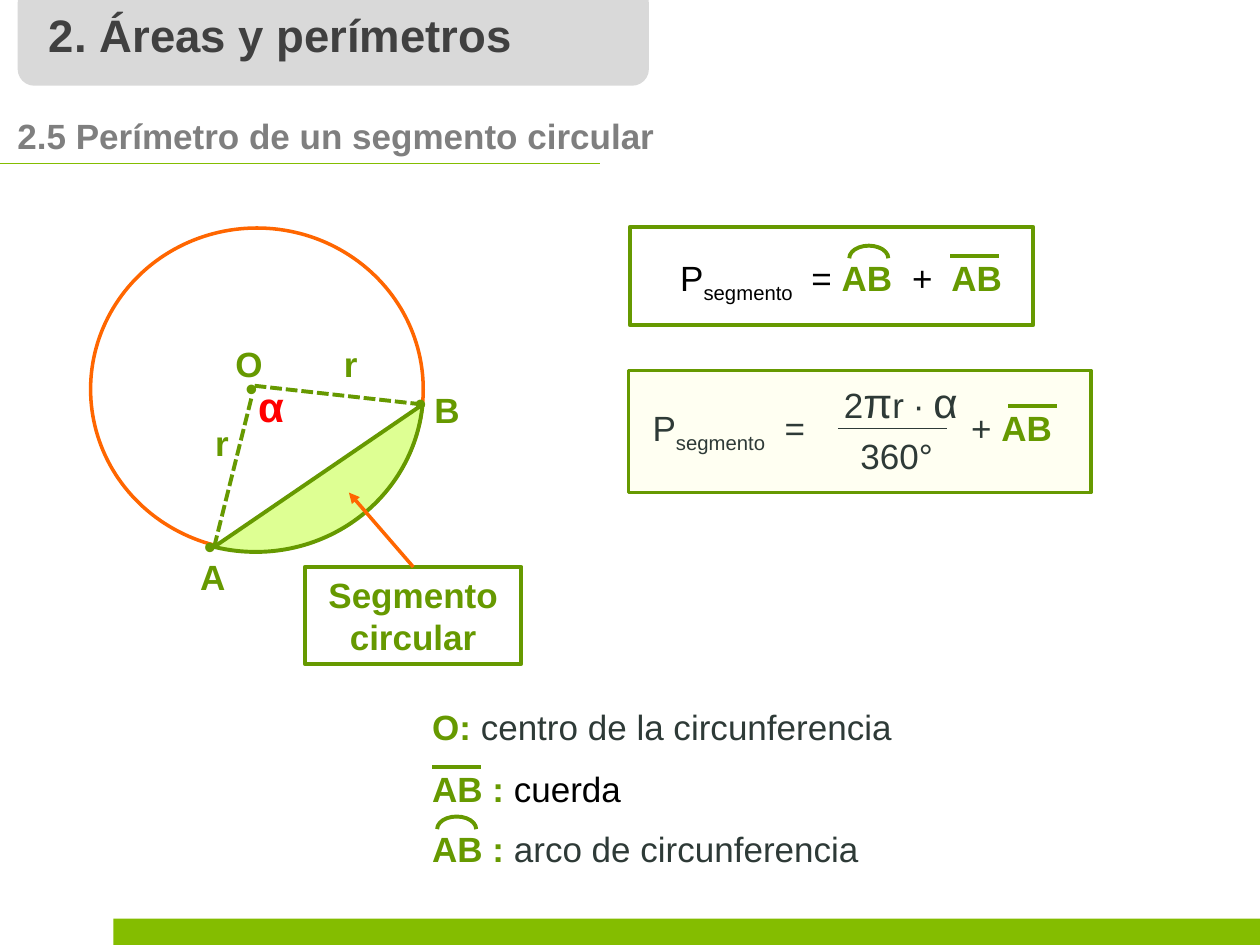
from dataclasses import dataclass

import pptx
import pptx.dml.color
import pptx.enum.dml
import pptx.enum.shapes
import pptx.enum.text
import pptx.oxml.ns
import pptx.oxml.xmlchemy
import pptx.util
from lxml import etree

Pt = pptx.util.Pt
RGBColor = pptx.dml.color.RGBColor
Kind = pptx.enum.shapes.MSO_SHAPE
Align = pptx.enum.text.PP_ALIGN
Anchor = pptx.enum.text.MSO_ANCHOR
qn = pptx.oxml.ns.qn

GREEN = RGBColor(0x66, 0x99, 0x00)
LIME = RGBColor(0x84, 0xBD, 0x00)
PALE = RGBColor(0xDE, 0xFF, 0x93)
ORANGE = RGBColor(0xFF, 0x66, 0x00)
YELLOW = RGBColor(0xFF, 0xFF, 0x00)
RED = RGBColor(0xFF, 0x00, 0x00)
BLACK = RGBColor(0x00, 0x00, 0x00)
SLATE = RGBColor(0x2E, 0x3A, 0x37)
DARK = RGBColor(0x40, 0x40, 0x40)
GREY = RGBColor(0x7F, 0x7F, 0x7F)
SILVER = RGBColor(0xD9, 0xD9, 0xD9)

ROW = 31.7  # height of a one-line label
DEGREE = 0.6  # one degree in shape adjustment units


@dataclass(frozen=True)
class Run:
    text: str
    color: RGBColor = GREEN
    bold: bool = False
    size: float = 20
    base: int = 0


@dataclass(frozen=True)
class Label:
    left: float
    top: float
    width: float
    runs: tuple[Run, ...]
    height: float = ROW
    tabs: tuple[float, ...] = ()


@dataclass(frozen=True)
class Shape:
    kind: Kind
    left: float
    top: float
    width: float
    height: float
    fill: RGBColor | None = None
    line: RGBColor | None = None
    weight: float = 2.25
    alpha: int = 100
    adjust: tuple[float, ...] = ()


@dataclass(frozen=True)
class Line:
    start: tuple[float, float]
    end: tuple[float, float]
    color: RGBColor = GREEN
    weight: float = 2.25
    dash: bool = False
    arrow: bool = False


def add_run(para, run: Run) -> None:
    part = para.add_run()
    part.text = run.text
    style = {"name": "Arial", "size": Pt(run.size), "bold": run.bold}
    for key, value in style.items():
        setattr(part.font, key, value)
    part.font.color.rgb = run.color
    if run.base:
        part.font._element.set("baseline", str(run.base * 1000))


def draw_label(slide, label: Label) -> None:
    box = slide.shapes.add_textbox(
        Pt(label.left), Pt(label.top), Pt(label.width), Pt(label.height))
    frame = box.text_frame
    frame.word_wrap = bool(label.tabs)
    para = frame.paragraphs[0]
    if label.tabs:
        stops = etree.SubElement(para._p.get_or_add_pPr(), qn("a:tabLst"))
        for stop in label.tabs:
            etree.SubElement(stops, qn("a:tab"), pos=str(Pt(stop)), algn="l")
    for run in label.runs:
        add_run(para, run)


def draw_shape(slide, item: Shape):
    shape = slide.shapes.add_shape(
        item.kind, Pt(item.left), Pt(item.top), Pt(item.width), Pt(item.height))
    shape.shadow.inherit = False
    for index, value in enumerate(item.adjust):
        shape.adjustments[index] = value
    if item.fill is None:
        shape.fill.background()
    else:
        shape.fill.solid()
        shape.fill.fore_color.rgb = item.fill
        if item.alpha < 100:
            tint = shape._element.spPr.find(".//" + qn("a:srgbClr"))
            etree.SubElement(tint, qn("a:alpha"), val=str(item.alpha * 1000))
    if item.line is None:
        shape.line.fill.background()
    else:
        shape.line.color.rgb = item.line
        shape.line.width = Pt(item.weight)
    return shape


def draw_line(slide, item: Line) -> None:
    line = slide.shapes.add_connector(
        pptx.enum.shapes.MSO_CONNECTOR.STRAIGHT,
        *(Pt(value) for value in item.start + item.end))
    line.line.color.rgb = item.color
    line.line.width = Pt(item.weight)
    if item.dash:
        line.line.dash_style = pptx.enum.dml.MSO_LINE.SQUARE_DOT
    if item.arrow:
        etree.SubElement(line.line._get_or_add_ln(), qn("a:headEnd"), type="triangle")
    etree.SubElement(line._element.spPr, qn("a:effectLst"))


def draw_arc(slide, left: float, top: float) -> None:
    """Draw the arc sign that stands over AB."""
    draw_shape(slide, Shape(Kind.ARC, left, top, 22.3, 14.4, line=GREEN,
                            adjust=(180 * DEGREE, 0)))


def draw_bar(slide, left: float, top: float) -> None:
    """Draw the chord sign that stands over AB."""
    draw_line(slide, Line((left, top), (left + 28.1, top)))


def draw_head(slide) -> None:
    draw_shape(slide, Shape(Kind.RECTANGLE, 64.8, 524.9, 655.2, 15.1, LIME))
    draw_label(slide, Label(2.9, 61.9, 646.6, (
        Run("2.5 Perímetro de un segmento circular", GREY, True),)))
    draw_line(slide, Line((0, 93.6), (342.7, 93.6), LIME, 0.75))
    draw_shape(slide, Shape(Kind.ROUNDED_RECTANGLE, 10.1, -7.9, 360.7, 56.9,
                            SILVER, adjust=(0.167,)))
    draw_label(slide, Label(20.9, 0.7, 279.4, (
        Run("2. Áreas y perímetros", DARK, True, 26),), 38.9))


def draw_circle(slide) -> None:
    draw_shape(slide, Shape(Kind.OVAL, 51.8, 130.3, 190.1, 184.3, line=ORANGE, weight=2))
    for left, top in ((229.7, 214.6), (109.4, 295.9), (133.2, 205.9)):
        draw_label(slide, Label(left, top, 21.6, (Run("•"),)))
    for text, left, top, width in (
            ("A", 107.3, 313.9, 28.8), ("B", 241.2, 218.2, 28.8),
            ("O", 127.4, 192.2, 29.5), ("r", 189.4, 192.2, 22.3),
            ("r", 115.9, 237.6, 22.3)):
        draw_label(slide, Label(left, top, width, (Run(text, bold=True),)))
    draw_shape(slide, Shape(Kind.CHORD, 50.4, 129.6, 191.5, 185.8, PALE, GREEN,
                            adjust=(5.2 * DEGREE, 104.8 * DEGREE)))
    draw_line(slide, Line((241.2, 231.1), (144, 220.3), dash=True))
    draw_line(slide, Line((122.4, 312.5), (144, 226.1), dash=True))
    draw_label(slide, Label(140.4, 213.8, 29.5, (Run("α", RED, True, 24),), 36))

    name = draw_shape(slide, Shape(Kind.RECTANGLE, 174.2, 324, 123.8, 55.4, line=GREEN))
    frame = name.text_frame
    frame.vertical_anchor = Anchor.TOP
    for index, word in enumerate(("Segmento", "circular")):
        para = frame.add_paragraph() if index else frame.paragraphs[0]
        para.alignment = Align.CENTER
        add_run(para, Run(word, bold=True))
    draw_line(slide, Line((199.4, 281.5), (236.2, 324), ORANGE, 2, arrow=True))


def draw_key(slide) -> None:
    for top, sign, text, color in (
            (399.6, "O: ", "centro de la circunferencia", SLATE),
            (434.9, "AB : ", "cuerda", BLACK),
            (469.4, "AB : ", "arco de circunferencia", SLATE)):
        draw_label(slide, Label(239.8, top, 290, (Run(sign, bold=True), Run(text, color))))
    draw_bar(slide, 247, 438.5)
    draw_arc(slide, 249.8, 466.6)


def draw_rules(slide) -> None:
    chord = Run("AB", bold=True)
    draw_label(slide, Label(381.6, 143.3, 204.5, (
        Run("P", BLACK), Run("segmento", BLACK, base=-25), Run("\t= ", BLACK), chord,
        Run("\t+\t", BLACK), chord), 34.6, (75, 132.5, 155)))
    draw_arc(slide, 485.3, 140.4)
    draw_shape(slide, Shape(Kind.RECTANGLE, 360, 129.6, 230.4, 56.2, line=GREEN))
    draw_bar(slide, 542.9, 146.2)

    draw_shape(slide, Shape(Kind.RECTANGLE, 359.3, 211.7, 264.2, 69.8, YELLOW, GREEN,
                            2, alpha=5))
    draw_label(slide, Label(475.2, 211.7, 91.4, (
        Run("2", SLATE), Run("π", SLATE, size=24), Run("r ∙ ", SLATE),
        Run("α", SLATE, size=24)), 36))
    draw_label(slide, Label(484.6, 244.8, 62.6, (Run("360°", SLATE),)))
    draw_line(slide, Line((478.8, 244.8), (541.4, 244.8), SLATE, 0.75))
    draw_label(slide, Label(365.8, 229, 268.6, (
        Run("P", SLATE), Run("segmento", SLATE, base=-25), Run("\t=\t+ ", SLATE), chord),
        34.6, (75.5, 182)))
    draw_bar(slide, 576, 232.2)


def main() -> None:
    deck = pptx.Presentation()
    deck.slide_width, deck.slide_height = Pt(720), Pt(540)
    slide = deck.slides.add_slide(deck.slide_layouts[6])
    for draw in (draw_head, draw_key, draw_circle, draw_rules):
        draw(slide)
    deck.save("out.pptx")


if __name__ == "__main__":
    main()
